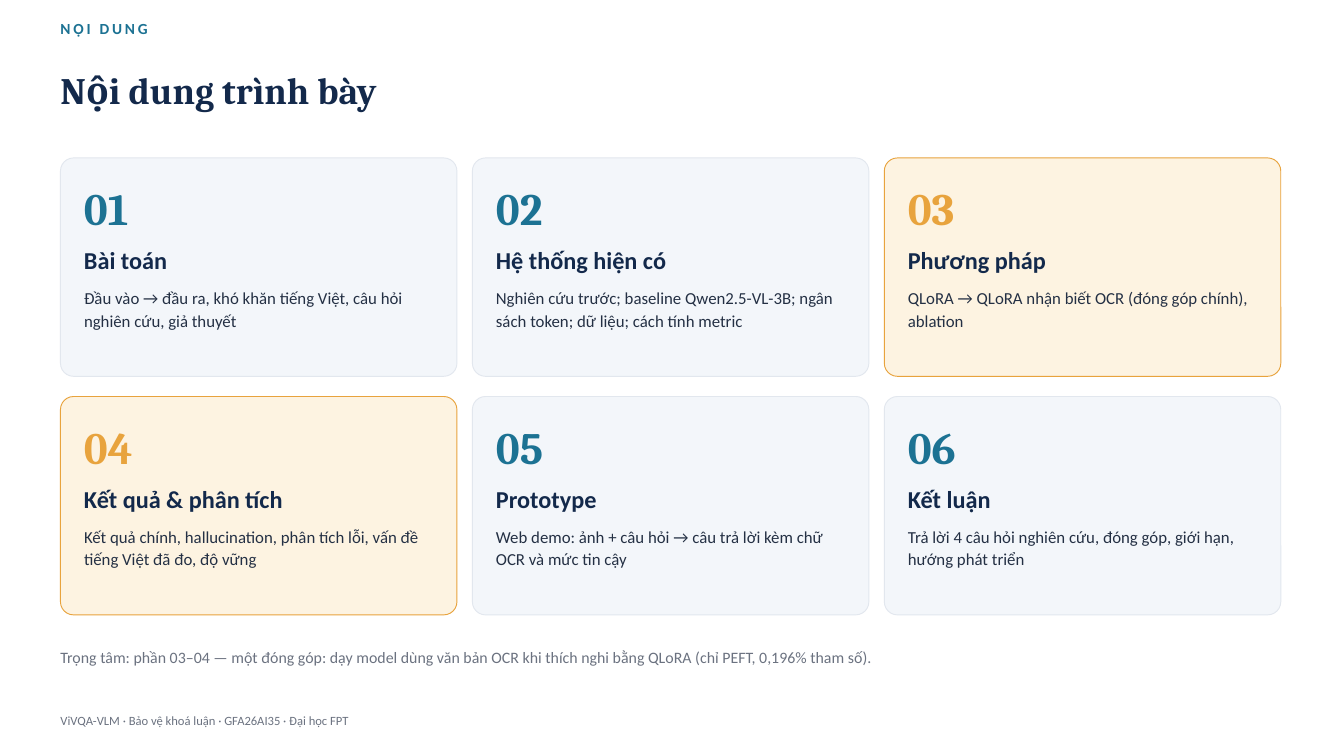
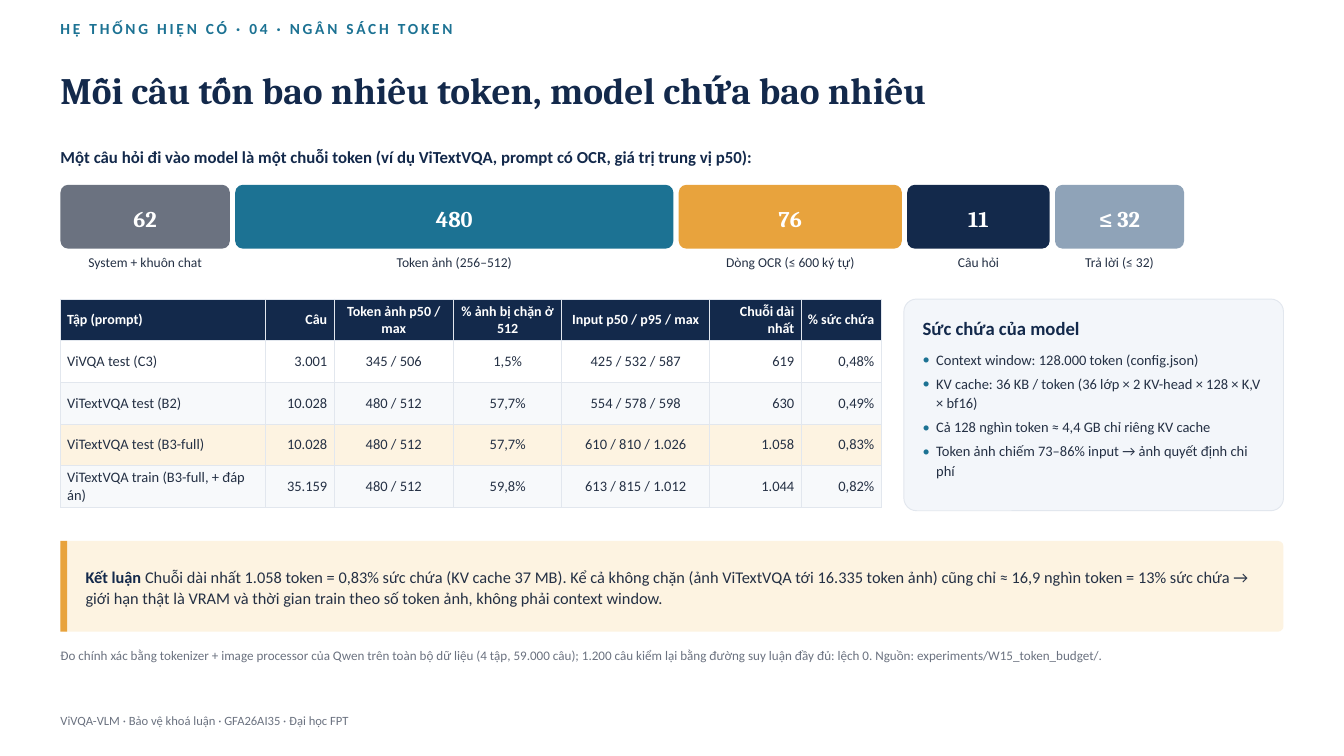
import pptx
import pptx.dml.color
import pptx.enum.shapes
import pptx.enum.text
import pptx.oxml
import pptx.oxml.ns
import pptx.util

Pt = pptx.util.Pt
RGBColor = pptx.dml.color.RGBColor
ALIGN = pptx.enum.text.PP_ALIGN
ANCHOR = pptx.enum.text.MSO_ANCHOR
SHAPE = pptx.enum.shapes.MSO_SHAPE

NAVY = RGBColor(0x13, 0x29, 0x4B)
TEAL = RGBColor(0x1C, 0x72, 0x93)
AMBER = RGBColor(0xE8, 0xA3, 0x3D)
CREAM = RGBColor(0xFD, 0xF3, 0xE1)
PANEL = RGBColor(0xF3, 0xF6, 0xFA)
BORDER = RGBColor(0xE2, 0xE7, 0xEE)
STRIPE = RGBColor(0xF7, 0xF9, 0xFB)
INK = RGBColor(0x24, 0x30, 0x44)
GREY = RGBColor(0x6B, 0x72, 0x80)
STEEL = RGBColor(0x8F, 0xA3, 0xB8)
WHITE = RGBColor(0xFF, 0xFF, 0xFF)
HEADING_FONT, BODY_FONT = "Cambria", "Calibri"
LEFT, CONTENT_WIDTH = 64.8, 1310.4
FOOTER = "ViVQA-VLM · Bảo vệ khoá luận · GFA26AI35 · Đại học FPT"


def write_text(text, slide=None, at=None, frame=None, size=18, color=INK, bold=False,
               font=BODY_FONT, align=ALIGN.LEFT, anchor=ANCHOR.TOP, margins=(0, 0, 0, 0),
               line=1.12, after=4, tracking=None, lead="", bullet=None):
    """Fill a text frame, or a new text box at the given place; each line is a paragraph."""
    if frame is None:
        frame = slide.shapes.add_textbox(*[Pt(value) for value in at]).text_frame
        frame.word_wrap = True
        frame.auto_size = pptx.enum.text.MSO_AUTO_SIZE.SHAPE_TO_FIT_TEXT
    if margins is not None:
        frame.word_wrap = True
        frame.vertical_anchor = anchor
        (frame.margin_left, frame.margin_top,
         frame.margin_right, frame.margin_bottom) = [Pt(value) for value in margins]
    for index, content in enumerate(text.split("\n")):
        paragraph = frame.add_paragraph() if index else frame.paragraphs[0]
        paragraph.alignment = align
        if line:
            paragraph.line_spacing = line
            paragraph.space_after = Pt(after)
        if bullet:
            properties = paragraph._p.get_or_add_pPr()
            properties.set("marL", str(Pt(14.5)))
            properties.set("indent", str(-Pt(14.5)))
            namespace = pptx.oxml.ns.nsdecls("a")
            for xml in (f'<a:buClr {namespace}><a:srgbClr val="{bullet}"/></a:buClr>',
                        f'<a:buFont {namespace} typeface="{BODY_FONT}"/>',
                        f'<a:buChar {namespace} char="•"/>'):
                properties.append(pptx.oxml.parse_xml(xml))
        parts = [(content, color, bold)]
        if lead:
            parts.insert(0, (lead, NAVY, True))
        for part, part_color, part_bold in parts:
            run = paragraph.add_run()
            run.text = part
            run.font.name, run.font.size = font, Pt(size)
            run.font.bold, run.font.color.rgb = part_bold, part_color
            if tracking:
                run._r.get_or_add_rPr().set("spc", str(tracking * 100))


def add_box(slide, at, fill, outline=None, corner=None):
    """Add a rectangle, rounded when a corner ratio is given."""
    kind = SHAPE.RECTANGLE if corner is None else SHAPE.ROUNDED_RECTANGLE
    shape = slide.shapes.add_shape(kind, *[Pt(value) for value in at])
    shape.shadow.inherit = False
    if corner is not None:
        shape.adjustments[0] = corner
    shape.fill.solid()
    shape.fill.fore_color.rgb = fill
    if outline is None:
        shape.line.fill.background()
    else:
        shape.line.color.rgb = outline
        shape.line.width = Pt(1)
    return shape


presentation = pptx.Presentation()
presentation.slide_width, presentation.slide_height = Pt(1440), Pt(810)

# Shared parts: section label, title, note and footer
note_at = (LEFT, 691.2, CONTENT_WIDTH, 36)
slides = []
for section, title, note, note_size in [
    ("NỘI DUNG", "Nội dung trình bày",
     "Trọng tâm: phần 03–04 — một đóng góp: dạy model dùng văn bản OCR khi thích nghi "
     "bằng QLoRA (chỉ PEFT, 0,196% tham số).", 17),
    ("HỆ THỐNG HIỆN CÓ · 04 · NGÂN SÁCH TOKEN",
     "Mỗi câu tốn bao nhiêu token, model chứa bao nhiêu",
     "Đo chính xác bằng tokenizer + image processor của Qwen trên toàn bộ dữ liệu "
     "(4 tập, 59.000 câu); 1.200 câu kiểm lại bằng đường suy luận đầy đủ: lệch 0. "
     "Nguồn: experiments/W15_token_budget/.", 14),
]:
    slide = presentation.slides.add_slide(presentation.slide_layouts[6])
    slide.background.fill.solid()
    slide.background.fill.fore_color.rgb = WHITE
    write_text(section, slide, (LEFT, 20.88, CONTENT_WIDTH, 46.08), size=16.5, color=TEAL,
               bold=True, line=Pt(19.8), after=0, tracking=3)
    write_text(title, slide, (LEFT, 62.64, CONTENT_WIDTH, 79.92), size=40, color=NAVY,
               bold=True, font=HEADING_FONT, line=Pt(57.6), after=0)
    write_text(note, slide, note_at, size=note_size, color=GREY)
    write_text(FOOTER, slide, (LEFT, 761.76, 1080, 28.8), size=13.5, color=GREY)
    slides.append(slide)
agenda, budget = slides

# Agenda: six cards in a 3 by 2 grid, the focus parts in amber
cards = [
    ("Bài toán", "Đầu vào → đầu ra, khó khăn tiếng Việt, câu hỏi nghiên cứu, giả thuyết"),
    ("Hệ thống hiện có", "Nghiên cứu trước; baseline Qwen2.5-VL-3B; ngân sách token; "
                         "dữ liệu; cách tính metric"),
    ("Phương pháp", "QLoRA → QLoRA nhận biết OCR (đóng góp chính), ablation"),
    ("Kết quả & phân tích", "Kết quả chính, hallucination, phân tích lỗi, vấn đề "
                            "tiếng Việt đã đo, độ vững"),
    ("Prototype", "Web demo: ảnh + câu hỏi → câu trả lời kèm chữ OCR và mức tin cậy"),
    ("Kết luận", "Trả lời 4 câu hỏi nghiên cứu, đóng góp, giới hạn, hướng phát triển"),
]
for index, (heading, summary) in enumerate(cards):
    row, column = divmod(index, 3)
    left, top = LEFT + column * 441.36, 169.2 + row * 255.6
    focus = index in (2, 3)
    add_box(agenda, (left, top, 424.8, 234), CREAM if focus else PANEL,
            AMBER if focus else BORDER, 0.06)
    text_left = left + 25.2
    write_text(f"{index + 1:02d}", agenda, (text_left, top + 18, 144, 72), size=48,
               color=AMBER if focus else TEAL, bold=True, font=HEADING_FONT)
    write_text(heading, agenda, (text_left, top + 90, 381.6, 43.2), size=26,
               color=NAVY, bold=True)
    write_text(summary, agenda, (text_left, top + 136.8, 378, 93.6))

# Token budget: the sequence of blocks
write_text("Một câu hỏi đi vào model là một chuỗi token (ví dụ ViTextVQA, prompt có OCR, "
           "giá trị trung vị p50):", budget, (LEFT, 154.8, CONTENT_WIDTH, 36),
           color=NAVY, bold=True)
left, gap = LEFT, 5.76
for count, label, width, fill in [
    ("62", "System + khuôn chat", 181.44, GREY),
    ("480", "Token ảnh (256–512)", 469.44, TEAL),
    ("76", "Dòng OCR (≤ 600 ký tự)", 239.04, AMBER),
    ("11", "Câu hỏi", 152.64, NAVY),
    ("≤ 32", "Trả lời (≤ 32)", 138.24, STEEL),
]:
    block = add_box(budget, (left, 198, width, 68.4), fill, corner=0.12)
    write_text(count, frame=block.text_frame, size=24, color=WHITE, bold=True,
               font=HEADING_FONT, align=ALIGN.CENTER, anchor=ANCHOR.MIDDLE)
    write_text(label, budget, (left, 270, width, 36), size=14.5, align=ALIGN.CENTER)
    left += width + gap

# Token budget: table of measured lengths
rows = [
    ("Tập (prompt)", "Câu", "Token ảnh p50 / max", "% ảnh bị chặn ở 512",
     "Input p50 / p95 / max", "Chuỗi dài nhất", "% sức chứa"),
    ("ViVQA test (C3)", "3.001", "345 / 506", "1,5%", "425 / 532 / 587", "619", "0,48%"),
    ("ViTextVQA test (B2)", "10.028", "480 / 512", "57,7%", "554 / 578 / 598", "630", "0,49%"),
    ("ViTextVQA test (B3-full)", "10.028", "480 / 512", "57,7%", "610 / 810 / 1.026",
     "1.058", "0,83%"),
    ("ViTextVQA train (B3-full, + đáp án)", "35.159", "480 / 512", "59,8%",
     "613 / 815 / 1.012", "1.044", "0,82%"),
]
row_fills = [NAVY, WHITE, STRIPE, CREAM, STRIPE]
column_widths = [219.6, 73.44, 128.16, 115.92, 158.4, 97.92, 85.68]
column_aligns = [ALIGN.LEFT, ALIGN.RIGHT] + [ALIGN.CENTER] * 3 + [ALIGN.RIGHT] * 2
table = budget.shapes.add_table(len(rows), len(column_widths), Pt(LEFT), Pt(320.4),
                                Pt(sum(column_widths)), Pt(223.2)).table
for column, width in zip(table.columns, column_widths):
    column.width = Pt(width)
for row_index, values in enumerate(rows):
    table.rows[row_index].height = Pt(44.64)
    header = row_index == 0
    for column_index, value in enumerate(values):
        cell = table.cell(row_index, column_index)
        cell.vertical_anchor = ANCHOR.MIDDLE
        write_text(value, frame=cell.text_frame, size=15 if header else 15.5,
                   color=WHITE if header else INK, bold=header,
                   align=column_aligns[column_index], margins=None, line=None)
        properties = cell._tc.get_or_add_tcPr()
        for side in ("lnL", "lnR", "lnT", "lnB"):
            properties.append(pptx.oxml.parse_xml(
                f'<a:{side} {pptx.oxml.ns.nsdecls("a")} w="{Pt(0.75)}"><a:solidFill>'
                f'<a:srgbClr val="{BORDER}"/></a:solidFill></a:{side}>'))
        cell.fill.solid()
        cell.fill.fore_color.rgb = row_fills[row_index]

# Token budget: model capacity panel
add_box(budget, (968.4, 320.4, 406.8, 226.8), PANEL, BORDER, 0.06)
write_text("Sức chứa của model", budget, (988.56, 336.24, 366.48, 43.2), size=20,
           color=NAVY, bold=True)
write_text("Context window: 128.000 token (config.json)\n"
           "KV cache: 36 KB / token (36 lớp × 2 KV-head × 128 × K,V × bf16)\n"
           "Cả 128 nghìn token ≈ 4,4 GB chỉ riêng KV cache\n"
           "Token ảnh chiếm 73–86% input → ảnh quyết định chi phí",
           budget, (988.56, 373.68, 366.48, 166.32), size=15.5, after=5, bullet=TEAL)

# Token budget: conclusion band
conclusion = add_box(budget, (LEFT, 579.6, CONTENT_WIDTH, 97.2), CREAM, corner=0.06)
add_box(budget, (LEFT, 579.6, 7.2, 97.2), AMBER)
write_text("Chuỗi dài nhất 1.058 token = 0,83% sức chứa (KV cache 37 MB). Kể cả không chặn "
           "(ảnh ViTextVQA tới 16.335 token ảnh) cũng chỉ ≈ 16,9 nghìn token = 13% sức chứa "
           "→ giới hạn thật là VRAM và thời gian train theo số token ảnh, "
           "không phải context window.", frame=conclusion.text_frame, size=17.5,
           anchor=ANCHOR.MIDDLE, margins=(25.2, 0, 14.4, 0), lead="Kết luận ")

presentation.save("out.pptx")
